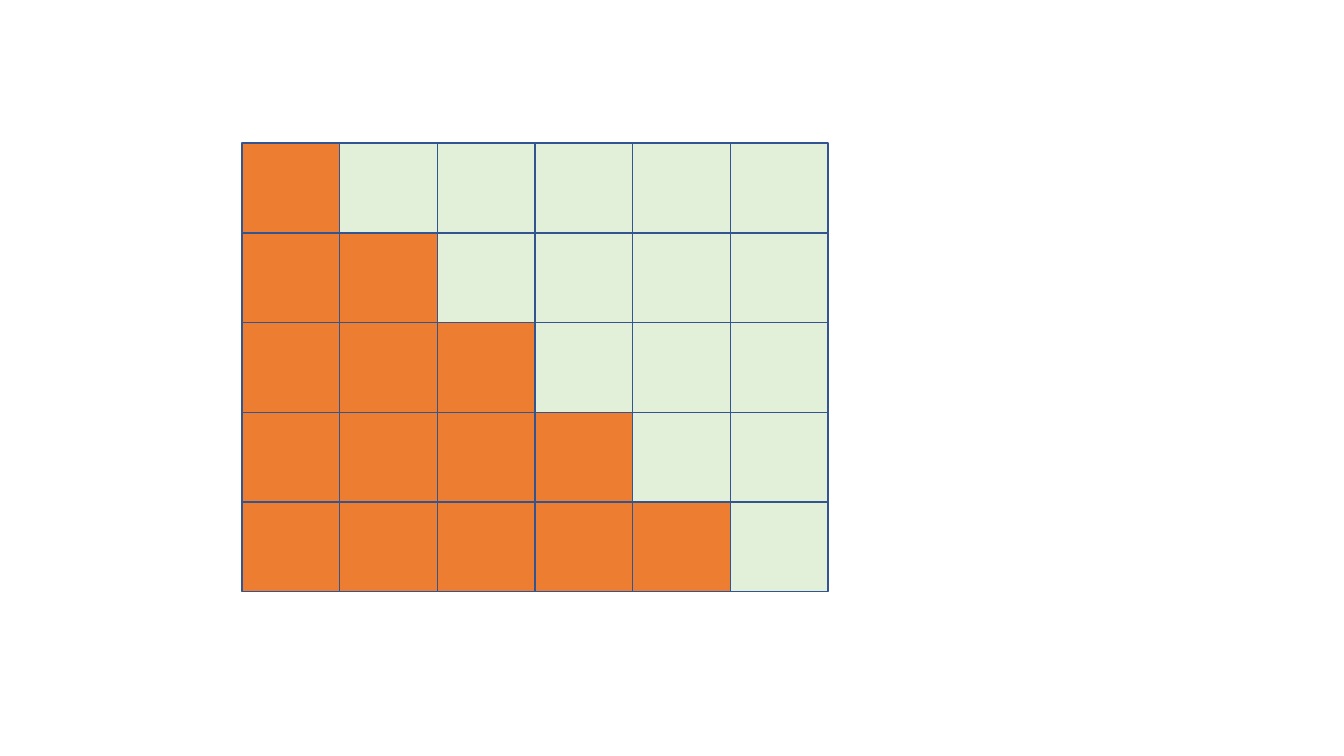
"""Build a slide with a staircase of orange squares in a pale green grid."""
from pptx import Presentation
from pptx.dml.color import RGBColor
from pptx.enum.shapes import MSO_SHAPE
from pptx.util import Pt

RECTANGLE = MSO_SHAPE.RECTANGLE
ORANGE, PALE_GREEN, BLUE = "ED7D31", "E2F0D9", "325491"
ROWS, COLUMNS = 5, 6
GRID_LEFT, GRID_TOP = 172.8, 102.2
CELL_WIDTH, CELL_HEIGHT = 69.8, 64.1


def paint(color_format, hex_color):
    """Set a fill or line colour from a hex string."""
    color_format.rgb = RGBColor.from_string(hex_color)


def add_cell(slide, row, column, hex_color):
    """Draw one outlined cell of the grid."""
    cell = slide.shapes.add_shape(
        RECTANGLE,
        Pt(GRID_LEFT + column * CELL_WIDTH),
        Pt(GRID_TOP + row * CELL_HEIGHT),
        Pt(CELL_WIDTH),
        Pt(CELL_HEIGHT),
    )
    cell.shadow.inherit = False
    cell.fill.solid()
    paint(cell.fill.fore_color, hex_color)
    paint(cell.line.color, BLUE)
    cell.line.width = Pt(1)


def add_staircase(slide):
    """Fill the grid, with one more orange cell in each row."""
    for row in range(ROWS):
        for column in range(COLUMNS):
            add_cell(slide, row, column, ORANGE if column <= row else PALE_GREEN)


def main():
    """Create and save the presentation."""
    presentation = Presentation()
    presentation.slide_width, presentation.slide_height = Pt(960), Pt(540)
    slide = presentation.slides.add_slide(presentation.slide_layouts[6])
    add_staircase(slide)
    presentation.save("out.pptx")


if __name__ == "__main__":
    main()
